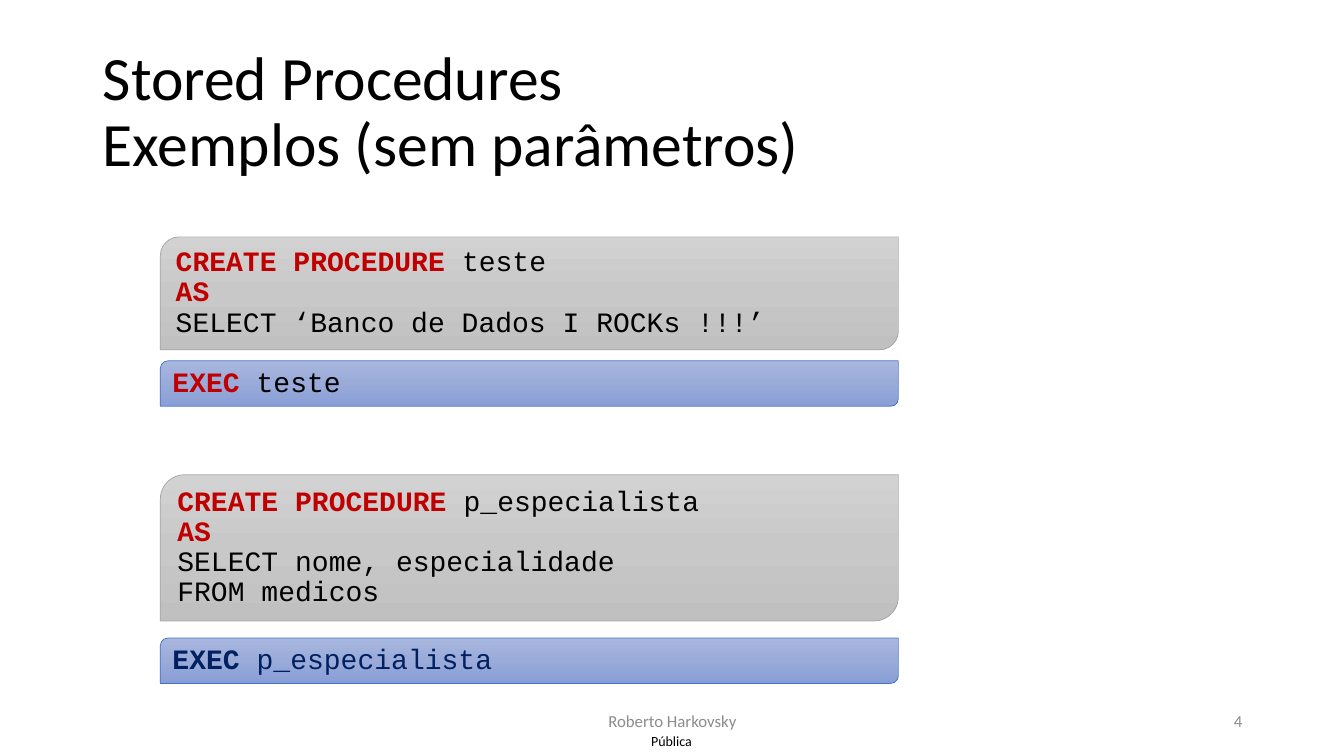
from copy import deepcopy

from pptx import Presentation
from pptx.dml.color import RGBColor
from pptx.enum.shapes import MSO_SHAPE
from pptx.enum.text import MSO_ANCHOR, PP_ALIGN
from pptx.util import Inches, Pt

RED, NAVY, BLACK, GRAY = "C00000", "002060", "000000", "8C8C8C"
GRAY_BOX = ("D2D2D2", "C8C8C8", "C0C0C0"), "A5A5A5"
BLUE_BOX = ("A8B7DF", "9AABD9", "889ED7"), "4472C4"
BOX_LEFT, BOX_WIDTH, EXEC_HEIGHT = 1.59, 7.32, 0.45


def rgb(value):
    return RGBColor.from_string(value)


def keyword(text, color=RED):
    return text, color, True


def plain(text, color=BLACK):
    return text, color, False


def write(shape, lines, font="Calibri", size=20, align=PP_ALIGN.LEFT,
          anchor=MSO_ANCHOR.MIDDLE, spacing=None, margin=None):
    frame = shape.text_frame
    frame.word_wrap = True
    frame.vertical_anchor = anchor
    if margin is not None:
        frame.margin_left = frame.margin_right = Inches(margin)
        frame.margin_top = frame.margin_bottom = Inches(margin)
    for index, line in enumerate(lines):
        paragraph = frame.add_paragraph() if index else frame.paragraphs[0]
        paragraph.alignment = align
        paragraph.line_spacing = spacing
        for text, color, bold in line:
            for number, piece in enumerate(text.split("\v")):
                if number:
                    paragraph.add_line_break()
                run = paragraph.add_run()
                run.text = piece
                run.font.name = font
                run.font.size = Pt(size)
                run.font.bold = bold
                run.font.color.rgb = rgb(color)


class SlideBuilder:
    def __init__(self, presentation):
        self.slide = presentation.slides.add_slide(presentation.slide_layouts[5])

    def title(self, text, left, top, width, height):
        shape = self.slide.shapes.title
        shape.left, shape.top = Inches(left), Inches(top)
        shape.width, shape.height = Inches(width), Inches(height)
        write(shape, [[plain(text)]], size=44, spacing=0.9)

    def label(self, text, left, top, width, height, color=GRAY, **text_format):
        shape = self.slide.shapes.add_textbox(
            Inches(left), Inches(top), Inches(width), Inches(height))
        write(shape, [[plain(text, color)]], **text_format)

    def code_box(self, lines, top, height, style):
        shape = self.slide.shapes.add_shape(
            MSO_SHAPE.ROUND_2_DIAG_RECTANGLE,
            Inches(BOX_LEFT), Inches(top), Inches(BOX_WIDTH), Inches(height))
        shape.shadow.inherit = False
        colors, line_color = style
        shape.fill.gradient()
        shape.fill.gradient_angle = 270
        stop_list = shape._element.xpath(".//a:gsLst")[0]
        stop_list.append(deepcopy(stop_list[-1]))
        for stop, color, position in zip(shape.fill.gradient_stops, colors, (0, 0.5, 1)):
            stop.color.rgb = rgb(color)
            stop.position = position
        shape.line.color.rgb = rgb(line_color)
        shape.line.width = Pt(0.5)
        write(shape, lines, font="Courier New", anchor=MSO_ANCHOR.TOP, spacing=0.9)

    def procedure(self, name, body, top, height):
        lines = [[keyword("CREATE PROCEDURE "), plain(name)], [keyword("AS")]]
        self.code_box(lines + [[plain(line)] for line in body], top, height, GRAY_BOX)

    def call(self, name, top, keyword_color=RED, name_color=BLACK):
        line = [keyword("EXEC ", keyword_color), plain(name, name_color)]
        self.code_box([line], top, EXEC_HEIGHT, BLUE_BOX)


presentation = Presentation()
presentation.slide_width = Inches(13.33)
presentation.slide_height = Inches(7.5)

builder = SlideBuilder(presentation)
builder.label("Pública", 6.31, 7.21, 0.7, 0.29, BLACK,
              size=10, align=PP_ALIGN.CENTER, margin=0)
builder.title("Stored Procedures\vExemplos (sem parâmetros)", 0.92, 0.4, 11.5, 1.45)
builder.label("Roberto Harkovsky", 4.42, 6.95, 4.5, 0.4, size=12, align=PP_ALIGN.CENTER)
builder.label("4", 9.42, 6.95, 3, 0.4, size=12, align=PP_ALIGN.RIGHT)

builder.procedure("teste", ["SELECT ‘Banco de Dados I ROCKs !!!’"], 2.35, 1.12)
builder.call("teste", 3.58)
builder.procedure("p_especialista",
                  ["SELECT nome, especialidade", "FROM medicos"], 4.71, 1.45)
builder.call("p_especialista", 6.33, NAVY, NAVY)

presentation.save("out.pptx")
